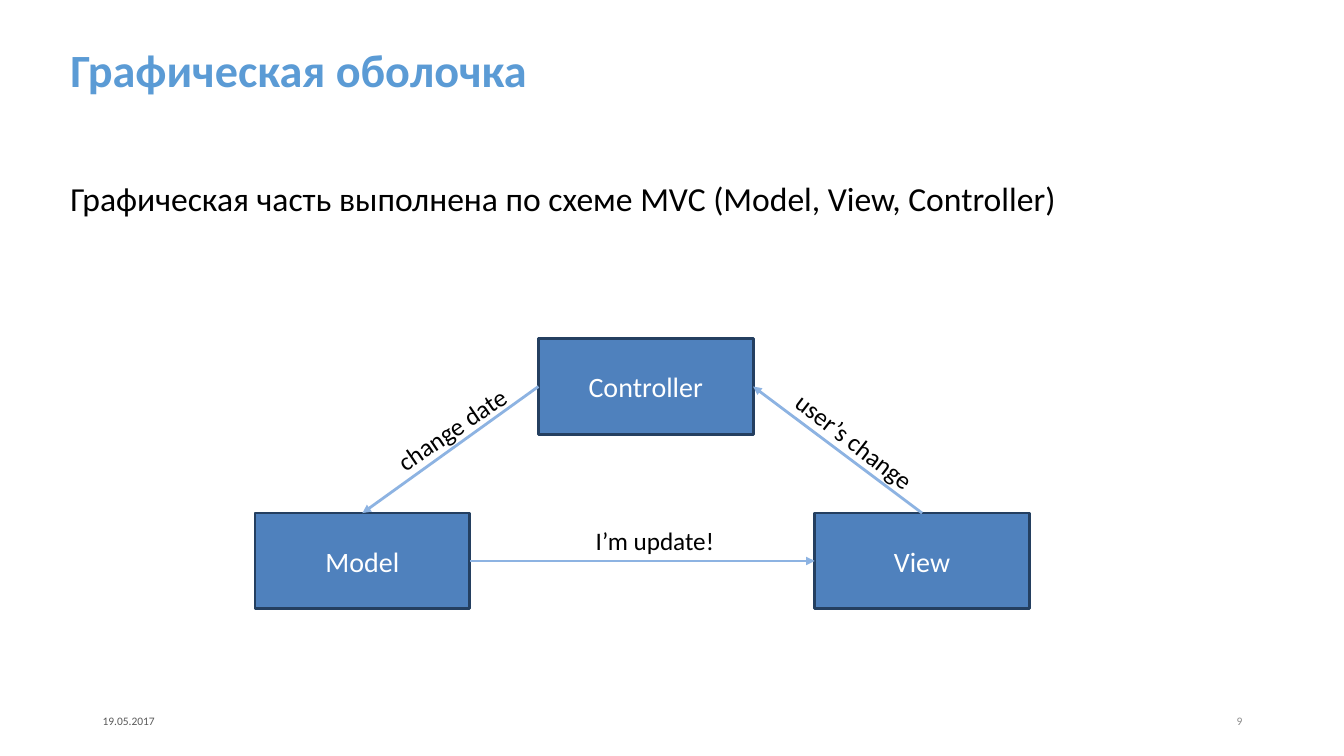
"""Build a slide that shows the Model, View, Controller scheme of a graphical shell."""
from lxml import etree
from pptx import Presentation
from pptx.dml.color import RGBColor
from pptx.enum.shapes import MSO_CONNECTOR, MSO_SHAPE
from pptx.enum.text import MSO_ANCHOR, PP_ALIGN
from pptx.oxml.ns import qn
from pptx.util import Inches, Pt

FONT = "Calibri"
BLACK = RGBColor(0x00, 0x00, 0x00)
WHITE = RGBColor(0xFF, 0xFF, 0xFF)
TITLE_BLUE = RGBColor(0x5B, 0x9B, 0xD5)
BOX_FILL = RGBColor(0x4F, 0x81, 0xBD)
BOX_LINE = RGBColor(0x24, 0x3F, 0x60)
ARROW_BLUE = RGBColor(0x8D, 0xB3, 0xE2)
DATE_GREY = RGBColor(0x59, 0x59, 0x59)
NUMBER_GREY = RGBColor(0x8C, 0x8C, 0x8C)
BOX_WIDTH, BOX_HEIGHT = 2.13, 0.95
TOP, LEFT, RIGHT = 0, 1, 3


def write_text(shape, text, size, color, align=PP_ALIGN.LEFT, anchor=MSO_ANCHOR.MIDDLE):
    """Put one formatted run in a shape and return its paragraph."""
    frame = shape.text_frame
    frame.vertical_anchor = anchor
    paragraph = frame.paragraphs[0]
    paragraph.alignment = align
    run = paragraph.add_run()
    run.text = text
    run.font.name = FONT
    run.font.size = Pt(size)
    run.font.color.rgb = color
    return paragraph


def add_text(left, top, width, height, text, size, color, wrap=True, **layout):
    """Add a text box and return it with its paragraph."""
    box = slide.shapes.add_textbox(Inches(left), Inches(top), Inches(width), Inches(height))
    box.text_frame.word_wrap = wrap
    return box, write_text(box, text, size, color, **layout)


presentation = Presentation()
presentation.slide_width = Inches(13.33)
presentation.slide_height = Inches(7.5)
slide = presentation.slides.add_slide(presentation.slide_layouts[6])

title, title_paragraph = add_text(0.6, 0.13, 9.37, 1.18, "Графическая оболочка", 33, TITLE_BLUE)
title_paragraph.line_spacing = 0.9
title_paragraph.runs[0].font.bold = True

add_text(0.6, 1.72, 10.07, 0.5,
         "Графическая часть выполнена по схеме MVC (Model, View, Controller)",
         24, BLACK, wrap=False, anchor=MSO_ANCHOR.TOP)

boxes = {}
for name, left, top in [("View", 8.08, 5.09), ("Controller", 5.34, 3.36), ("Model", 2.53, 5.09)]:
    box = slide.shapes.add_shape(MSO_SHAPE.FLOWCHART_PROCESS, Inches(left), Inches(top),
                                 Inches(BOX_WIDTH), Inches(BOX_HEIGHT))
    box.shadow.inherit = False
    box.fill.solid()
    box.fill.fore_color.rgb = BOX_FILL
    box.line.color.rgb = BOX_LINE
    box.line.width = Pt(2)
    write_text(box, name, 20, WHITE, align=PP_ALIGN.CENTER)
    boxes[name] = box

arrows = [
    ("Model", RIGHT, "View", LEFT),
    ("View", TOP, "Controller", RIGHT),
    ("Controller", LEFT, "Model", TOP),
]
for source, source_side, target, target_side in arrows:
    arrow = slide.shapes.add_connector(MSO_CONNECTOR.STRAIGHT, 0, 0, 0, 0)
    arrow.begin_connect(boxes[source], source_side)
    arrow.end_connect(boxes[target], target_side)
    arrow.line.color.rgb = ARROW_BLUE
    arrow.line.width = Pt(2)
    etree.SubElement(arrow.line._get_or_add_ln(), qn("a:tailEnd"), type="triangle")
    etree.SubElement(arrow._element.spPr, qn("a:effectLst"))

labels = [
    ("I’m update!", 5.81, 5.16, 1.39, 0, False),
    ("user’s change", 7.6, 4.43, 2.4, 37.8, True),
    ("change date", 3.76, 4.05, 1.46, 325.8, False),
]
for text, left, top, width, rotation, wrap in labels:
    label, label_paragraph = add_text(left, top, width, 0.4, text, 18, BLACK,
                                      wrap=wrap, anchor=MSO_ANCHOR.TOP)
    label.rotation = rotation

add_text(0.92, 6.95, 3, 0.4, "19.05.2017", 8.2, DATE_GREY)
add_text(9.42, 6.95, 3, 0.4, "9", 8.2, NUMBER_GREY, align=PP_ALIGN.RIGHT)

presentation.save("out.pptx")
